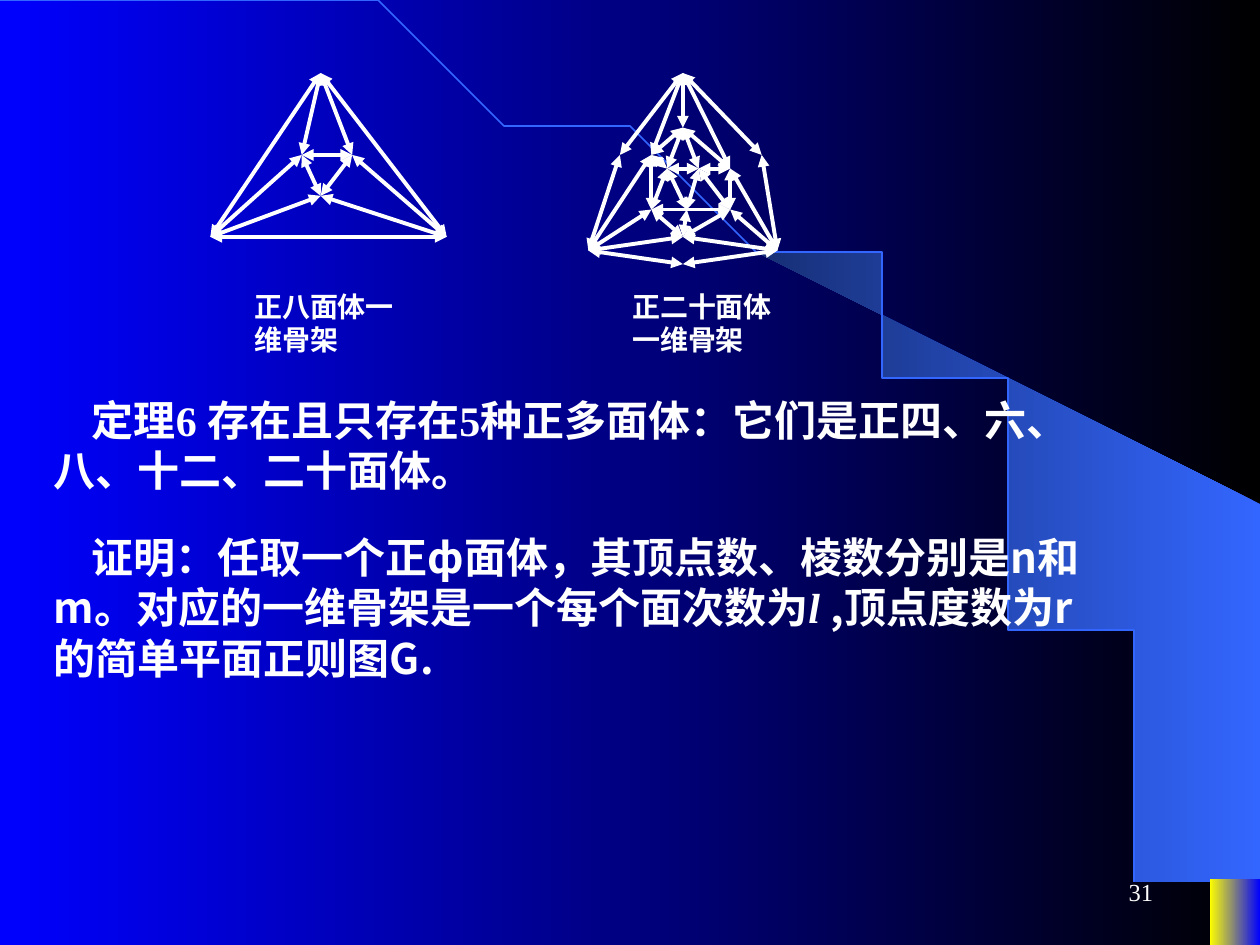
from math import asin, cos, pi, sin

from lxml.etree import SubElement
from pptx import Presentation
from pptx.dml.color import RGBColor
from pptx.enum.shapes import MSO_CONNECTOR as Connector, MSO_SHAPE as Shape
from pptx.enum.text import MSO_ANCHOR as Anchor, PP_ALIGN as Align
from pptx.oxml.ns import qn
from pptx.util import Inches, Pt

WHITE = RGBColor(0xFF, 0xFF, 0xFF)
BLACK = RGBColor(0x00, 0x00, 0x00)
BLUE = RGBColor(0x00, 0x00, 0xFF)
YELLOW = RGBColor(0xFF, 0xFF, 0x00)
ARC_BLUE = RGBColor(0x33, 0x66, 0xFF)
DEEP_BLUE = RGBColor(0x17, 0x2F, 0x75)

SERIF = "Times New Roman"
CHINESE = "Noto Sans CJK SC"

WIDTH, HEIGHT = 10, 7.5
COLUMN, ROW = 0.125, 0.1083  # grid of the skeleton figures, in inches

# Vertices as (column, row), then the neighbours each one is joined to
OCTAHEDRON = {
    "top": (7, 0), "left": (0, 12), "right": (15, 12),
    "inner left": (5.8, 6), "inner right": (9, 6), "inner bottom": (7, 9),
}
OCTAHEDRON_EDGES = {
    "top": ["left", "right", "inner left", "inner right"],
    "left": ["right", "inner left", "inner bottom"],
    "right": ["inner right", "inner bottom"],
    "inner left": ["inner right", "inner bottom"],
    "inner right": ["inner bottom"],
}
ICOSAHEDRON = {
    "top": (6, 0), "left": (0, 13), "right": (12, 13), "bottom": (6, 14),
    "outer left": (2, 6), "outer right": (11, 6),
    "inner top": (6, 4), "inner bottom": (6, 12),
    "upper left": (4, 6), "lower left": (4, 10),
    "upper right": (9, 7), "lower right": (9, 10),
    "core left": (5, 7), "core right": (7, 7), "core bottom": (6.25, 10),
}
ICOSAHEDRON_EDGES = {
    "top": ["outer left", "outer right", "upper left", "upper right", "inner top"],
    "left": ["outer left", "upper left", "lower left", "inner bottom", "bottom"],
    "right": ["outer right", "upper right", "lower right", "inner bottom", "bottom"],
    "inner top": ["upper left", "upper right", "core left", "core right"],
    "inner bottom": ["lower left", "lower right", "core bottom"],
    "lower left": ["upper left", "core left", "lower right"],
    "upper right": ["lower right", "core right"],
    "core left": ["upper left", "core right", "core bottom"],
    "core right": ["core bottom", "lower right"],
}


def set_gradient(fill, start, end):
    """Horizontal gradient whose first colour lies at the right."""
    fill.gradient()
    fill.gradient_angle = 180
    for stop, color in zip(fill.gradient_stops, (start, end)):
        stop.color.rgb = color


def add_outline(slide, points, closed):
    builder = slide.shapes.build_freeform(*points[0], scale=Inches(1))
    builder.add_line_segments(points[1:], close=closed)
    shape = builder.convert_to_shape()
    shape.shadow.inherit = False
    return shape


def add_backdrop(slide, width, height):
    """Background, light wedge, quarter ellipse and corner block."""
    set_gradient(slide.background.fill, BLACK, BLUE)
    radius_x, radius_y = 0.92 * width, height - 0.01
    touch_x, touch_y = 0.589 * width, 0.23 * height

    def arc_points(start, steps=60):
        angles = [start + (pi / 2 - start) * i / steps for i in range(steps + 1)]
        return [(radius_x * sin(a), radius_y * (1 - cos(a))) for a in angles]

    right = width - 0.01
    wedge = add_outline(
        slide,
        [(right, radius_y), (right, 0.564 * height), (touch_x, touch_y)]
        + arc_points(asin(touch_x / radius_x)),
        closed=True)
    set_gradient(wedge.fill, ARC_BLUE, DEEP_BLUE)
    wedge.line.fill.background()

    arc = add_outline(slide, arc_points(0), closed=False)
    arc.fill.background()
    arc.line.color.rgb = ARC_BLUE
    arc.line.width = Pt(1)

    block = slide.shapes.add_shape(
        Shape.RECTANGLE, Inches(0.96 * width), Inches(0.93 * height),
        Inches(0.04 * width), Inches(0.07 * height))
    block.shadow.inherit = False
    set_gradient(block.fill, BLUE, YELLOW)
    block.line.fill.background()


def add_text(slide, box, runs, size, bold=True, before=0, indent=0,
             align=Align.LEFT, anchor=Anchor.TOP):
    """One paragraph; each run is (text, font, italic)."""
    shape = slide.shapes.add_textbox(*(Inches(length) for length in box))
    frame = shape.text_frame
    frame.word_wrap = True
    frame.vertical_anchor = anchor
    paragraph = frame.paragraphs[0]
    paragraph.alignment = align
    paragraph.space_before = Pt(before)
    if indent:
        paragraph._p.get_or_add_pPr().set("indent", str(Inches(indent)))
    for text, font_name, italic in runs:
        run = paragraph.add_run()
        run.text = text
        font = run.font
        font.name, font.size = font_name, Pt(size)
        font.bold, font.italic = bold, italic
        font.color.rgb = WHITE
        east_asian = SubElement(run._r.get_or_add_rPr(), qn("a:ea"))
        east_asian.set("typeface", CHINESE)


def add_edge(slide, start, end):
    """White line with an arrowhead at both ends."""
    edge = slide.shapes.add_connector(
        Connector.STRAIGHT, *(Inches(length) for length in (*start, *end)))
    edge.line.color.rgb = WHITE
    edge.line.width = Pt(2.25)
    line = edge.line._get_or_add_ln()
    for tag in ("a:headEnd", "a:tailEnd"):
        SubElement(line, qn(tag)).set("type", "triangle")
    SubElement(edge._element.spPr, qn("a:effectLst"))


def add_skeleton(slide, left, top, vertices, edges, caption):
    places = {name: (left + column * COLUMN, top + row * ROW)
              for name, (column, row) in vertices.items()}
    for name, neighbours in edges.items():
        for neighbour in neighbours:
            add_edge(slide, places[name], places[neighbour])
    caption_box = (left + 2 * COLUMN, top + 15.4 * ROW, 1.43, 0.64)
    add_text(slide, caption_box, [(caption, SERIF, False)], 16)


def add_theorem(slide, left, top, width):
    """Theorem with its proof below."""
    theorem = [("定理6 存在且只存在5种正多面体：它们是正四、六、八、十二、二十面体。",
                SERIF, False)]
    proof = [
        ("证明：任取一个正", SERIF, False),
        ("ф面体，其顶点数、棱数分别是n和m。对应的一维骨架是一个每个面次数为",
         CHINESE, False),
        ("l ", SERIF, True),
        (",顶点度数为r的简单平面正则图G.", CHINESE, False),
    ]
    for offset, height, runs in ((0, 0.9, theorem), (1.09, 1.3, proof)):
        add_text(slide, (left, top + offset, width, height), runs, 24,
                 before=15, indent=0.3)


def main():
    presentation = Presentation()
    presentation.slide_width = Inches(WIDTH)
    presentation.slide_height = Inches(HEIGHT)
    slide = presentation.slides.add_slide(presentation.slide_layouts[6])

    add_backdrop(slide, WIDTH, HEIGHT)
    add_theorem(slide, 0.33, 3.08, 8.42)
    add_skeleton(slide, 1.67, 0.58, OCTAHEDRON, OCTAHEDRON_EDGES,
                 "正八面体一维骨架")
    add_skeleton(slide, 4.67, 0.58, ICOSAHEDRON, ICOSAHEDRON_EDGES,
                 "正二十面体一维骨架")
    # Slide number
    add_text(slide, (7.17, 6.83, 2.08, 0.5), [("31", SERIF, False)], 14,
             bold=False, align=Align.RIGHT, anchor=Anchor.MIDDLE)
    presentation.save("out.pptx")


if __name__ == "__main__":
    main()
